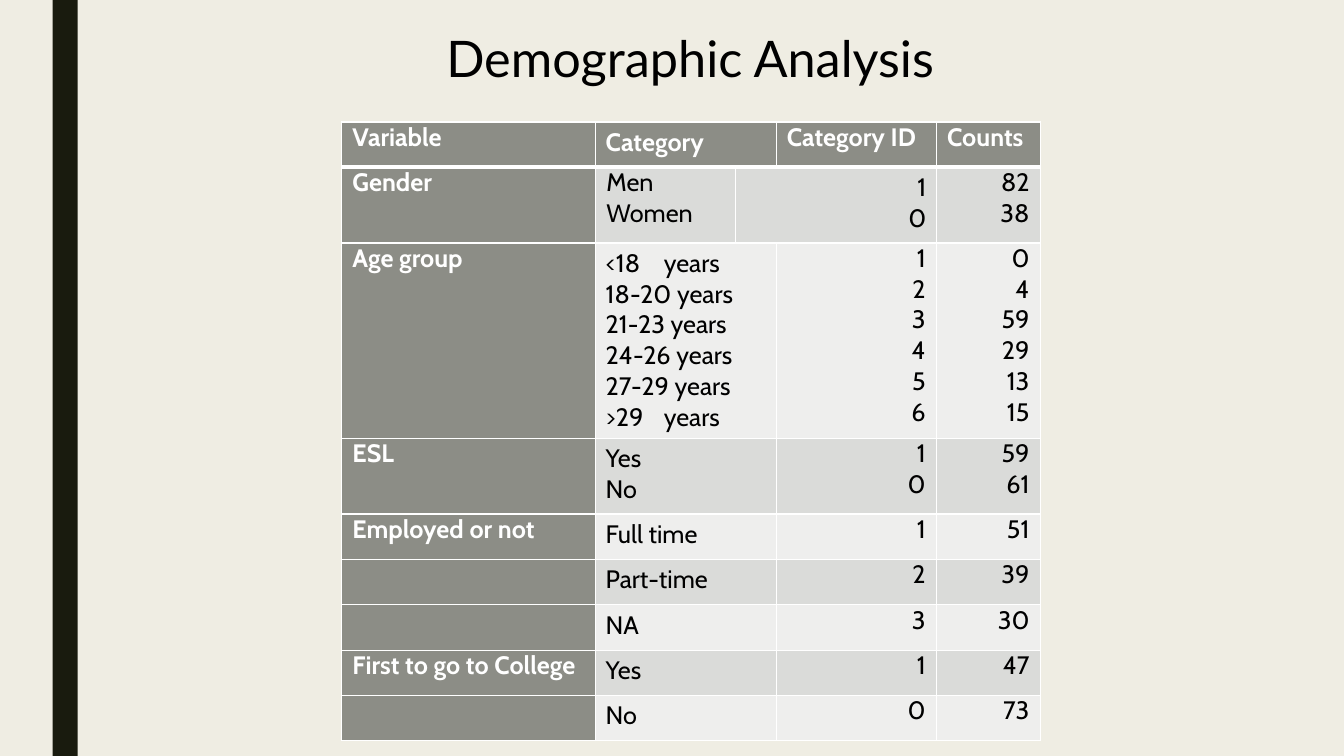
from lxml.etree import SubElement
from pptx import Presentation
from pptx.dml.color import RGBColor
from pptx.enum.shapes import MSO_SHAPE as Shape
from pptx.enum.text import MSO_AUTO_SIZE as Fit, PP_ALIGN as Align
from pptx.oxml import parse_xml
from pptx.oxml.ns import nsdecls, qn
from pptx.util import Pt


def color(code):
    return RGBColor.from_string(code)


def border(cell, side, width):
    # Borders come before the fill, in the order L, R, T, B
    line = parse_xml(
        f'<a:ln{side} {nsdecls("a")} w="{Pt(width)}"><a:solidFill>'
        f'<a:srgbClr val="FFFFFF"/></a:solidFill></a:ln{side}>')
    cell._tc.get_or_add_tcPr().insert("LRTB".index(side), line)


deck = Presentation()
deck.slide_width, deck.slide_height = Pt(960), Pt(540)
slide = deck.slides.add_slide(deck.slide_layouts[6])
slide.background.fill.solid()
slide.background.fill.fore_color.rgb = color("EFEDE3")

# Side bar
bar = slide.shapes.add_shape(Shape.RECTANGLE, Pt(37.5), 0, Pt(18), Pt(540))
bar.shadow.inherit = False
bar.fill.solid()
bar.fill.fore_color.rgb = color("191B0E")
bar.line.fill.background()

# Title
title = slide.shapes.add_textbox(Pt(304), Pt(16), Pt(378), Pt(51))
frame = title.text_frame
frame.word_wrap = False
frame.auto_size = Fit.SHAPE_TO_FIT_TEXT
para = frame.paragraphs[0]
para.text = "Demographic Analysis"
para.alignment = Align.CENTER
para.font.name, para.font.size = "Lato", Pt(36)
para.font.color.rgb = color("000000")

# Table data: variable, category, ID, count
rows = [
    ("Variable", "Category", "Category ID", "Counts"),
    ("Gender", "Men\nWomen", "1\n0", "82\n38"),
    ("Age group",
     "<18\tyears\n18-20 years\n21-23 years\n24-26 years\n27-29 years\n>29\tyears",
     "1\n2\n3\n4\n5\n6", "0\n4\n59\n29\n13\n15"),
    ("ESL", "Yes\nNo", "1\n0", "59\n61"),
    ("Employed or not", "Full time", "1", "51"),
    ("", "Part-time", "2", "39"),
    ("", "NA", "3", "30"),
    ("First to go to College", "Yes", "1", "47"),
    ("", "No", "0", "73"),
]
widths = [181.4, 100.1, 28.8, 114.5, 74.2]
heights = [32.4, 54, 139.7, 54] + [32.4] * 5
GENDER = 1

# Table grid
table = slide.shapes.add_table(
    len(rows), len(widths), Pt(244.1), Pt(87.1),
    Pt(sum(widths)), Pt(sum(heights))).table
for col, width in zip(table.columns, widths):
    col.width = Pt(width)
for row, height in zip(table.rows, heights):
    row.height = Pt(height)

# Fills and borders
for r in range(len(rows)):
    for c in range(len(widths)):
        cell = table.cell(r, c)
        head = r == 0 or c == 0
        cell.fill.solid()
        cell.fill.fore_color.rgb = color(
            "8C8D86" if head else "DADBD9" if r % 2 else "EEEEED")
        for side in "LRTB":
            thick = (r, side) in [(0, "B"), (1, "T")]
            border(cell, side, 3 if thick else 1)

# Text: the narrow column joins the IDs for gender, the categories elsewhere
for r, texts in enumerate(rows):
    wide = 2 if r == GENDER else 1
    table.cell(r, wide).merge(table.cell(r, wide + 1))
    spots = [0, 1, 2 if r == GENDER else 3, 4]
    for c, text in zip(spots, texts):
        cell = table.cell(r, c)
        cell.text = text
        side, edge = (7.2, 3.6) if c == wide else (7.7, 0)
        cell.margin_left = cell.margin_right = Pt(side)
        cell.margin_top = cell.margin_bottom = Pt(edge)
        head = r == 0 or c == 0
        for para in cell.text_frame.paragraphs:
            if "\t" in para.text:
                tabs = SubElement(para._p.get_or_add_pPr(), qn("a:tabLst"))
                SubElement(tabs, qn("a:tab"), pos=str(Pt(41.5)), algn="l")
            para.font.name, para.font.size = "Cabin", Pt(18)
            para.font.bold = head
            para.font.color.rgb = color("FFFFFF" if head else "000000")
            if r > 0 and c > 1:
                para.alignment = Align.RIGHT

deck.save("out.pptx")
